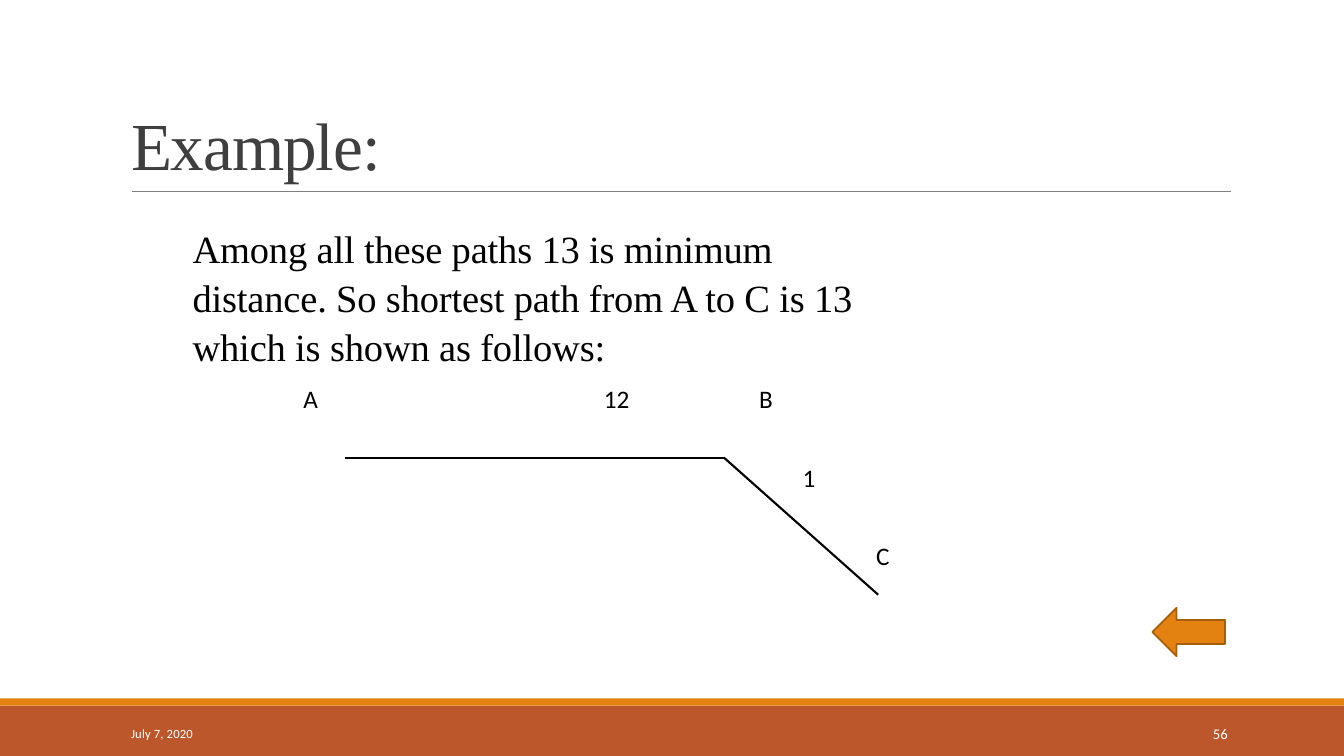
from lxml import etree
from pptx import Presentation
from pptx.dml.color import RGBColor
from pptx.enum import shapes, text
from pptx.oxml import ns
from pptx.util import Inches, Pt

COLORS = {
    "band": "BC572C",
    "accent": "E48211",
    "accent_edge": "A65F09",
    "title": "3F3F3F",
    "rule": "7F7F7F",
    "ink": "000000",
    "footer": "FFFFFF",
}
SERIF, SANS = "Times New Roman", "Calibri"


def rgb(name):
    return RGBColor.from_string(COLORS[name])


def write(shape, content, size, font, color, spacing=0, wrap=False,
          anchor=text.MSO_ANCHOR.TOP):
    """Fill a shape with one left-aligned run; spacing is in points."""
    frame = shape.text_frame
    frame.margin_left = frame.margin_right = frame.margin_top = frame.margin_bottom = 0
    frame.auto_size = text.MSO_AUTO_SIZE.NONE
    frame.word_wrap = wrap
    frame.vertical_anchor = anchor
    paragraph = frame.paragraphs[0]
    paragraph.alignment = text.PP_ALIGN.LEFT
    run = paragraph.add_run()
    run.text = content
    run.font.size = Pt(size)
    run.font.name = font
    run.font.color.rgb = rgb(color)
    if spacing:
        run.font._element.set("spc", str(round(spacing * 100)))
    return paragraph


def add_text(slide, left, top, width, height, content, size, font, color, **options):
    box = slide.shapes.add_textbox(Inches(left), Inches(top), Inches(width), Inches(height))
    return write(box, content, size, font, color, **options)


def add_block(slide, kind, left, top, width, height, fill, edge=None):
    shape = slide.shapes.add_shape(
        kind, Inches(left), Inches(top), Inches(width), Inches(height))
    shape.shadow.inherit = False
    shape.fill.solid()
    shape.fill.fore_color.rgb = rgb(fill)
    if edge:
        shape.line.color.rgb = rgb(edge)
        shape.line.width = Pt(1.25)
    else:
        shape.line.fill.background()


def add_line(slide, start, end, color, width):
    line = slide.shapes.add_connector(
        shapes.MSO_CONNECTOR.STRAIGHT, *map(Inches, start + end))
    line.line.color.rgb = rgb(color)
    line.line.width = Pt(width)
    etree.SubElement(line._element.spPr, ns.qn("a:effectLst"))


def add_title(slide, content):
    title = slide.shapes.title
    title.left, title.top = Inches(1.3), Inches(1)
    title.width, title.height = Inches(2.5), Inches(0.83)
    write(title, content, 48, SERIF, "title", spacing=-0.8,
          anchor=text.MSO_ANCHOR.BOTTOM)


def add_path_diagram(slide):
    node_a, node_b, node_c = (3.42, 4.54), (7.18, 4.54), (8.71, 5.9)
    for start, end in ((node_a, node_b), (node_b, node_c)):
        add_line(slide, start, end, "ink", 1.5)
    labels = (("A", 3.01, 3.8), ("12", 5.99, 3.8), ("B", 7.53, 3.8),
              ("1", 7.96, 4.59), ("C", 8.69, 5.36))
    for label, left, top in labels:
        add_text(slide, left, top, 0.3, 0.31, label, 18, SANS, "ink")


def main():
    presentation = Presentation()
    presentation.slide_width = Inches(13.33)
    presentation.slide_height = Inches(7.5)
    slide = presentation.slides.add_slide(presentation.slide_layouts[5])

    # Footer bands
    rectangle = shapes.MSO_SHAPE.RECTANGLE
    add_block(slide, rectangle, 0, 7, 13.33, 0.5, "band")
    add_block(slide, rectangle, 0, 6.93, 13.33, 0.07, "accent")

    # Title and rule
    add_title(slide, "Example:")
    add_line(slide, (1.31, 1.9), (12.21, 1.9), "rule", 0.75)

    # Explanation
    explanation = add_text(
        slide, 1.91, 2.21, 6.92, 1.45,
        "Among all these paths 13 is minimum distance. So shortest path "
        "from A to C is 13 which is shown as follows:",
        27.5, SERIF, "ink", spacing=-0.1, wrap=True)
    explanation.line_spacing = 1.06

    # Shortest path and back arrow
    add_path_diagram(slide)
    add_block(slide, shapes.MSO_SHAPE.LEFT_ARROW, 11.43, 6.03, 0.72, 0.48,
              "accent", "accent_edge")

    # Date and page number
    add_text(slide, 1.3, 7.2, 0.65, 0.15, "July 7, 2020", 9, SANS, "footer", spacing=0.1)
    add_text(slide, 12.03, 7.19, 0.2, 0.17, "56", 10.5, SANS, "footer")

    presentation.save("out.pptx")


if __name__ == "__main__":
    main()
